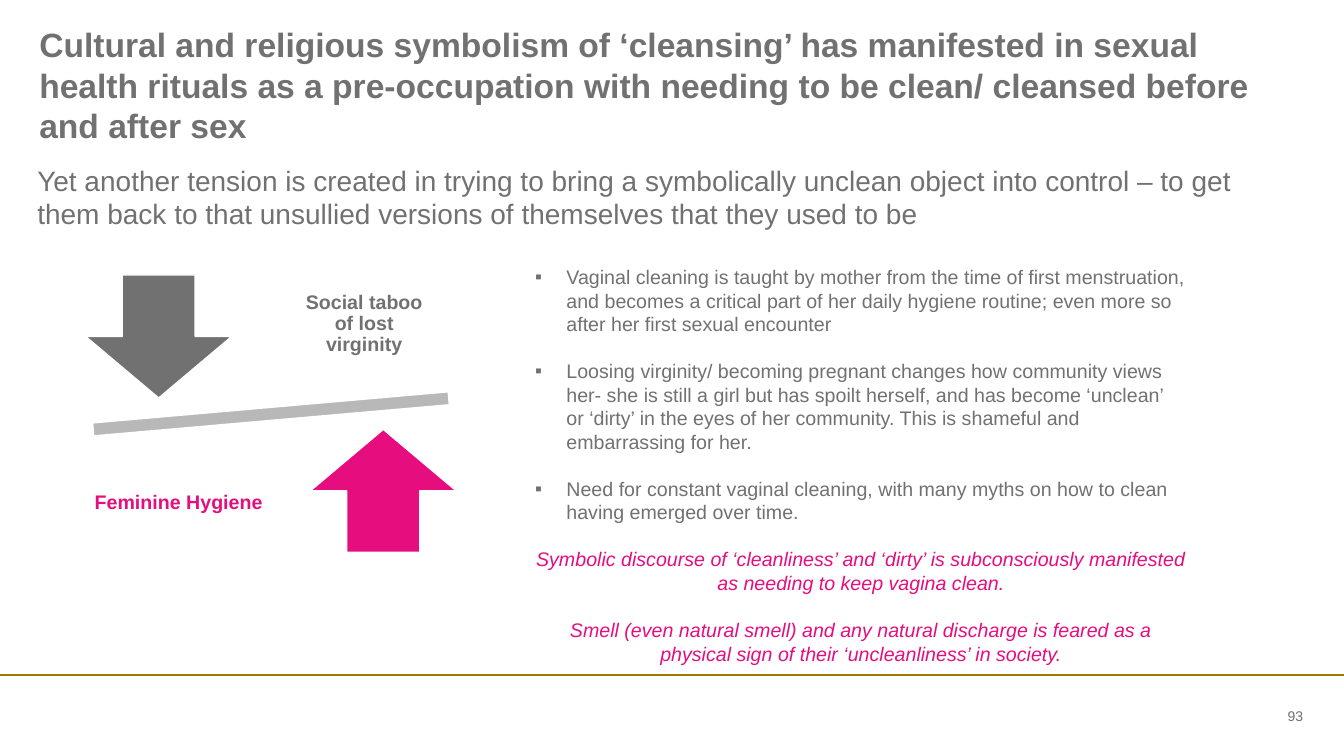
from dataclasses import dataclass
from typing import Optional

from lxml.etree import SubElement
from pptx import Presentation
from pptx.dml.color import RGBColor
from pptx.enum.shapes import MSO_CONNECTOR, MSO_SHAPE as Preset
from pptx.enum.text import MSO_ANCHOR as Anchor, MSO_AUTO_SIZE, PP_ALIGN as Align
from pptx.oxml.ns import qn
from pptx.util import Cm, Pt


@dataclass(frozen=True)
class Theme:
    font: str = "Arial"
    grey: str = "717171"
    pale: str = "B8B8B8"
    pink: str = "E60D7F"
    white: str = "FFFFFF"
    gold: str = "A07400"
    title: int = 24
    subtitle: int = 20
    body: int = 14
    number: int = 10
    body_gap: float = 16.8


@dataclass(frozen=True)
class Box:
    left: float
    top: float
    width: float
    height: float


@dataclass(frozen=True)
class Style:
    size: int
    color: str
    bold: bool = False
    italic: bool = False
    align: Align = Align.LEFT
    line_spacing: float = 1.0


@dataclass(frozen=True)
class Figure:
    preset: Preset
    box: Box
    color: str
    rotation: float = 0


@dataclass(frozen=True)
class Label:
    text: str
    box: Box
    style: Style
    anchor: Anchor = Anchor.TOP
    inset: Optional[float] = None


THEME = Theme()
TITLE_STYLE = Style(THEME.title, THEME.grey, bold=True)
POINT_STYLE = Style(THEME.body, THEME.grey)
CONCLUSION_STYLE = Style(THEME.body, THEME.pink, italic=True, align=Align.CENTER)
TITLE = (
    "Cultural and religious symbolism of ‘cleansing’ has manifested in sexual health "
    "rituals as a pre-occupation with needing to be clean/ cleansed before and after sex"
)
POINTS = (
    "Vaginal cleaning is taught by mother from the time of first menstruation, and becomes "
    "a critical part of her daily hygiene routine; even more so after her first sexual encounter",
    "Loosing virginity/ becoming pregnant changes how community views her- she is still a girl "
    "but has spoilt herself, and has become ‘unclean’ or ‘dirty’ in the eyes of her community. "
    "This is shameful and embarrassing for her.",
    "Need for constant vaginal cleaning, with many myths on how to clean having emerged over time.",
)
CONCLUSIONS = (
    "Symbolic discourse of ‘cleanliness’ and ‘dirty’ is subconsciously manifested as needing "
    "to keep vagina clean.",
    "Smell (even natural smell) and any natural discharge is feared as a physical sign of their "
    "‘uncleanliness’ in society.",
)
FIGURES = (
    Figure(Preset.MATH_MINUS, Box(0.71, 9.73, 12.24, 1.4), THEME.pale, 355),
    Figure(Preset.DOWN_ARROW, Box(2.16, 6.93, 3.68, 3.1), THEME.grey),
    Figure(Preset.UP_ARROW, Box(7.82, 10.82, 3.68, 3.1), THEME.pink),
)
LABELS = (
    Label(
        "Yet another tension is created in trying to bring a symbolically unclean object into "
        "control – to get them back to that unsullied versions of themselves that they used to be",
        Box(0.69, 3.99, 31.85, 1.96), Style(THEME.subtitle, THEME.grey),
    ),
    Label(
        "Social taboo of lost virginity", Box(7.21, 6.55, 3.94, 3.25),
        Style(THEME.body, THEME.grey, bold=True, align=Align.CENTER, line_spacing=0.9),
        Anchor.MIDDLE, 0.28,
    ),
    Label(
        "Feminine Hygiene", Box(2.03, 11.05, 4.95, 3.25),
        Style(THEME.body, THEME.pink, bold=True, align=Align.CENTER, line_spacing=0.9),
        Anchor.MIDDLE, 0.28,
    ),
    Label(
        "93", Box(30.15, 17.75, 2.69, 0.56),
        Style(THEME.number, THEME.grey, align=Align.RIGHT), Anchor.MIDDLE, 0,
    ),
)


def place(shape, box: Box) -> None:
    shape.left, shape.top = Cm(box.left), Cm(box.top)
    shape.width, shape.height = Cm(box.width), Cm(box.height)


def prepare_frame(frame, anchor: Anchor, inset: Optional[float] = None) -> None:
    frame.word_wrap = True
    frame.auto_size = MSO_AUTO_SIZE.NONE
    frame.vertical_anchor = anchor
    if inset is not None:
        frame.margin_left = frame.margin_right = Cm(inset)
        frame.margin_top = frame.margin_bottom = Cm(inset)


def write(paragraph, text: str, style: Style, space_before: float = 0) -> None:
    paragraph.alignment = style.align
    paragraph.line_spacing = style.line_spacing
    paragraph.space_before = Pt(space_before)
    paragraph.space_after = Pt(0)
    run = paragraph.add_run()
    run.text = text
    font = run.font
    font.name, font.size = THEME.font, Pt(style.size)
    font.bold, font.italic = style.bold, style.italic
    font.color.rgb = RGBColor.from_string(style.color)


def set_bullet(paragraph, symbol: Optional[str]) -> None:
    properties = paragraph._p.get_or_add_pPr()
    indent = Cm(0.79) if symbol else 0
    properties.set("marL", str(indent))
    properties.set("indent", str(-indent))
    if symbol:
        SubElement(properties, qn("a:buFont"), typeface=THEME.font)
        SubElement(properties, qn("a:buChar"), char=symbol)
    else:
        SubElement(properties, qn("a:buNone"))


def add_title(slide) -> None:
    title = slide.shapes.title
    place(title, Box(0.99, 0.61, 31.85, 1.12))
    prepare_frame(title.text_frame, Anchor.TOP, 0)
    write(title.text_frame.paragraphs[0], TITLE, TITLE_STYLE)


def add_body(slide) -> None:
    body = slide.placeholders[1]
    place(body, Box(13.23, 6.55, 16.94, 10.44))
    frame = body.text_frame
    prepare_frame(frame, Anchor.TOP)
    entries = [(text, POINT_STYLE, "▪") for text in POINTS]
    entries += [(text, CONCLUSION_STYLE, None) for text in CONCLUSIONS]
    for index, (text, style, symbol) in enumerate(entries):
        paragraph = frame.add_paragraph() if index else frame.paragraphs[0]
        set_bullet(paragraph, symbol)
        write(paragraph, text, style, THEME.body_gap if index else 0)


def add_figure(slide, figure: Figure) -> None:
    box = figure.box
    shape = slide.shapes.add_shape(
        figure.preset, Cm(box.left), Cm(box.top), Cm(box.width), Cm(box.height))
    shape.rotation = figure.rotation
    shape.shadow.inherit = False
    shape.fill.solid()
    shape.fill.fore_color.rgb = RGBColor.from_string(figure.color)
    shape.line.color.rgb = RGBColor.from_string(THEME.white)
    shape.line.width = Pt(1)


def add_label(slide, label: Label) -> None:
    box = label.box
    shape = slide.shapes.add_textbox(
        Cm(box.left), Cm(box.top), Cm(box.width), Cm(box.height))
    prepare_frame(shape.text_frame, label.anchor, label.inset)
    write(shape.text_frame.paragraphs[0], label.text, label.style)


def add_footer_rule(slide, width: int) -> None:
    rule = slide.shapes.add_connector(
        MSO_CONNECTOR.STRAIGHT, 0, Cm(17.02), width, Cm(17.02))
    rule.line.color.rgb = RGBColor.from_string(THEME.gold)
    rule.line.width = Pt(1.5)
    SubElement(rule._element.spPr, qn("a:effectLst"))


def main() -> None:
    """Build the slide on cleansing symbolism and save it."""
    presentation = Presentation()
    presentation.slide_width, presentation.slide_height = Cm(33.87), Cm(19.05)
    slide = presentation.slides.add_slide(presentation.slide_layouts[1])
    add_footer_rule(slide, presentation.slide_width)
    add_title(slide)
    add_body(slide)
    for figure in FIGURES:
        add_figure(slide, figure)
    for label in LABELS:
        add_label(slide, label)
    presentation.save("out.pptx")


if __name__ == "__main__":
    main()
